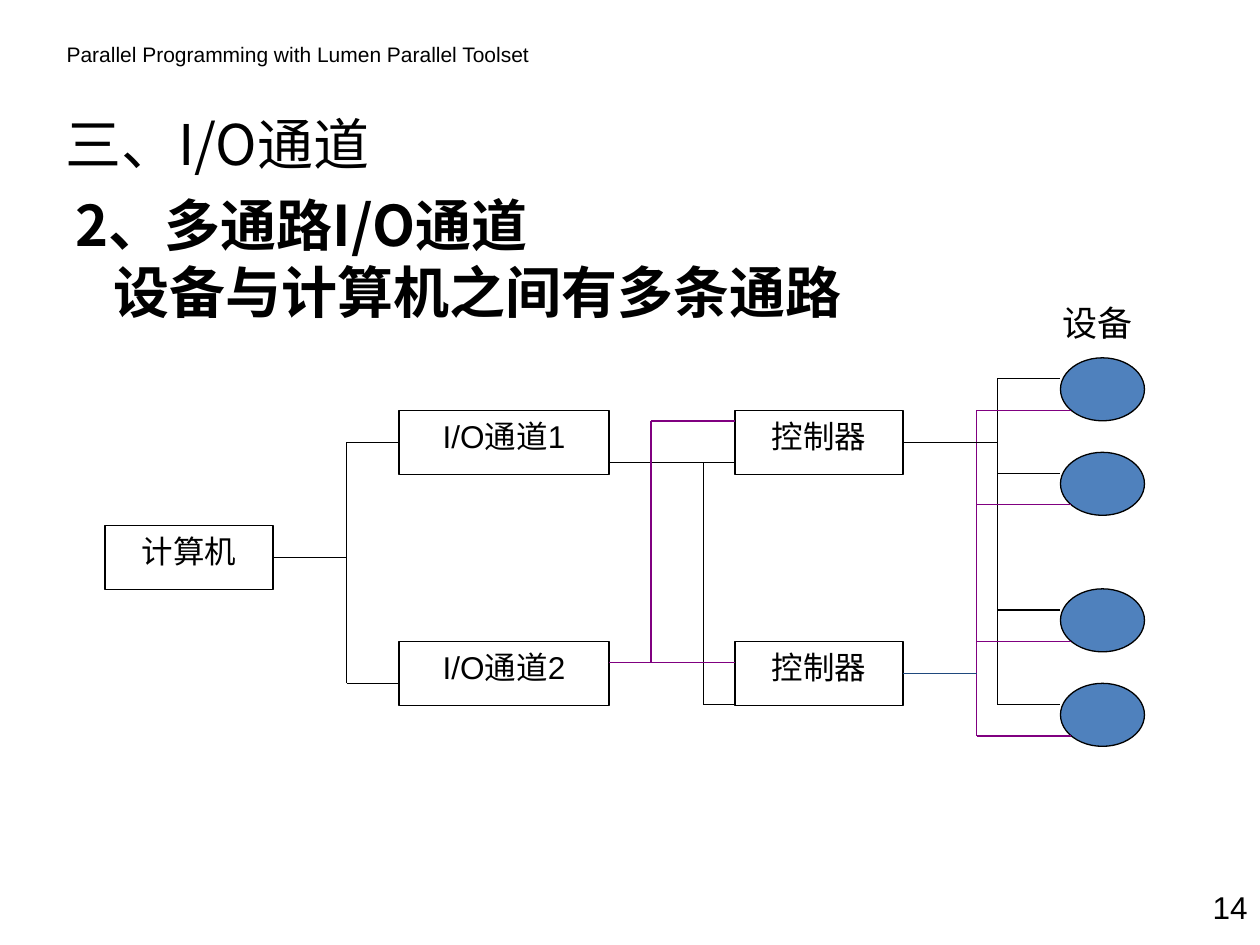
from lxml import etree
from pptx import Presentation
from pptx.dml.color import RGBColor
from pptx.enum.shapes import MSO_CONNECTOR, MSO_SHAPE
from pptx.enum.text import MSO_ANCHOR, PP_ALIGN
from pptx.oxml.ns import qn
from pptx.util import Pt

STRAIGHT = MSO_CONNECTOR.STRAIGHT
RECTANGLE, OVAL = MSO_SHAPE.RECTANGLE, MSO_SHAPE.OVAL
LEFT, CENTER, RIGHT = PP_ALIGN.LEFT, PP_ALIGN.CENTER, PP_ALIGN.RIGHT
TOP, MIDDLE = MSO_ANCHOR.TOP, MSO_ANCHOR.MIDDLE
LEFT_SIDE, RIGHT_SIDE = 1, 3

THEME = {
    "black": RGBColor(0, 0, 0),
    "purple": RGBColor(0x80, 0, 0x80),
    "navy": RGBColor(0x1F, 0x49, 0x7D),
    "device": RGBColor(0x4F, 0x81, 0xBD),
    "latin": "Arial",
    "cjk": "Noto Sans CJK SC",
    "heading": Pt(32),
    "device_label": Pt(20),
    "label": Pt(18),
    "header": Pt(12),
    "line": Pt(0.75),
}


def write(shape, lines, size, font="latin", align=LEFT, anchor=TOP, bold=False):
    frame = shape.text_frame
    frame.word_wrap = True
    frame.vertical_anchor = anchor
    frame.text = "\n".join(lines)
    values = {"name": THEME[font], "size": THEME[size], "bold": bold}
    for paragraph in frame.paragraphs:
        paragraph.alignment = align
        run = paragraph.runs[0]
        for name, value in values.items():
            setattr(run.font, name, value)
        run.font.color.rgb = THEME["black"]
        east_asian = etree.SubElement(run._r.get_or_add_rPr(), qn("a:ea"))
        east_asian.set("typeface", THEME["cjk"])


def connect(x1, y1, x2, y2, color="black"):
    connector = slide.shapes.add_connector(STRAIGHT, Pt(x1), Pt(y1), Pt(x2), Pt(y2))
    connector.line.color.rgb = THEME[color]
    connector.line.width = THEME["line"]
    etree.SubElement(connector._element.spPr, qn("a:effectLst"))
    return connector


presentation = Presentation()
presentation.slide_width, presentation.slide_height = Pt(720), Pt(540)
slide = presentation.slides.add_slide(presentation.slide_layouts[5])

# Title
title = slide.shapes.title
title.left, title.top, title.width, title.height = Pt(30.5), Pt(55), Pt(408), Pt(54)
write(title, ["三、I/O通道"], "heading", "cjk", anchor=MIDDLE)

# Header, body, device label and page number
texts = [
    ((31, 20, 340, 22), ["Parallel Programming with Lumen Parallel Toolset"], {"size": "header"}),
    ((36, 112, 669, 99), ["2、多通路I/O通道", "设备与计算机之间有多条通路"],
     {"size": "heading", "font": "cjk", "bold": True}),
    ((600, 168.5, 66, 31), ["设备"], {"size": "device_label"}),
    ((672, 504, 48, 36), ["14"], {"size": "label", "align": RIGHT}),
]
for bounds, lines, style in texts:
    box = slide.shapes.add_textbox(*map(Pt, bounds))
    write(box, lines, **style)
    if len(lines) > 1:
        for paragraph in box.text_frame.paragraphs:
            paragraph.line_spacing = 0.83
        paragraph.space_before = Pt(6.4)
        properties = paragraph._p.get_or_add_pPr()
        properties.set("marL", str(Pt(21.5)))

# Boxes: computer, channels and controllers
box_height = 36.5
upper, center, lower = 234.5, 300.5, 366.5
upper_middle, center_middle, lower_middle = (
    top + box_height / 2 for top in (upper, center, lower))
box_specs = {
    "computer": (60, center, 96, "计算机"),
    "channel 1": (228, upper, 120, "I/O通道1"),
    "channel 2": (228, lower, 120, "I/O通道2"),
    "controller 1": (420, upper, 96, "控制器"),
    "controller 2": (420, lower, 96, "控制器"),
}
boxes = {}
for name, (left, top, width, label) in box_specs.items():
    box = slide.shapes.add_shape(RECTANGLE, Pt(left), Pt(top), Pt(width), Pt(box_height))
    box.shadow.inherit = False
    box.fill.background()
    box.line.color.rgb = THEME["black"]
    box.line.width = THEME["line"]
    write(box, [label], "label", align=CENTER)
    boxes[name] = box

# Devices, each reached by both buses
black_bus, purple_bus = 570, 558
device_left = 606
device_tops = [204.5, 258.5, 336.5, 390.5]
for top in device_tops:
    device = slide.shapes.add_shape(OVAL, Pt(device_left), Pt(top), Pt(48), Pt(36))
    device.shadow.inherit = False
    device.fill.solid()
    device.fill.fore_color.rgb = THEME["device"]
    device.line.color.rgb = THEME["black"]
    device.line.width = THEME["line"]
for bus, end, offset, color in [(black_bus, device_left, 12, "black"),
                                (purple_bus, device_left + 6, 30, "purple")]:
    for top in device_tops:
        connect(bus, top + offset, end, top + offset, color)
    connect(bus, device_tops[0] + offset, bus, device_tops[-1] + offset, color)

# Lines joined to the middle of a box side
trunk = 198
for name, side, x1, x2, y, color in [
    ("computer", RIGHT_SIDE, 156, trunk, center_middle, "black"),
    ("channel 1", LEFT_SIDE, 228, trunk, upper_middle, "black"),
    ("controller 1", RIGHT_SIDE, 516, black_bus, upper_middle, "black"),
    ("controller 2", RIGHT_SIDE, 516, purple_bus, lower_middle, "navy"),
]:
    connect(x1, y, x2, y, color).begin_connect(boxes[name], side)

# Trunk from the computer to the second channel
connect(trunk, upper_middle, trunk, lower + 24)
connect(trunk, lower + 24, 228, lower + 24)

# Each channel runs to one controller and branches to the other
for branch, start, end, color in [(402, upper + 30, lower + 36, "black"),
                                  (372, lower + 12, upper + 6, "purple")]:
    connect(348, start, 420, start, color)
    connect(branch, start, branch, end, color)
    connect(branch, end, 420, end, color)

presentation.save("out.pptx")
